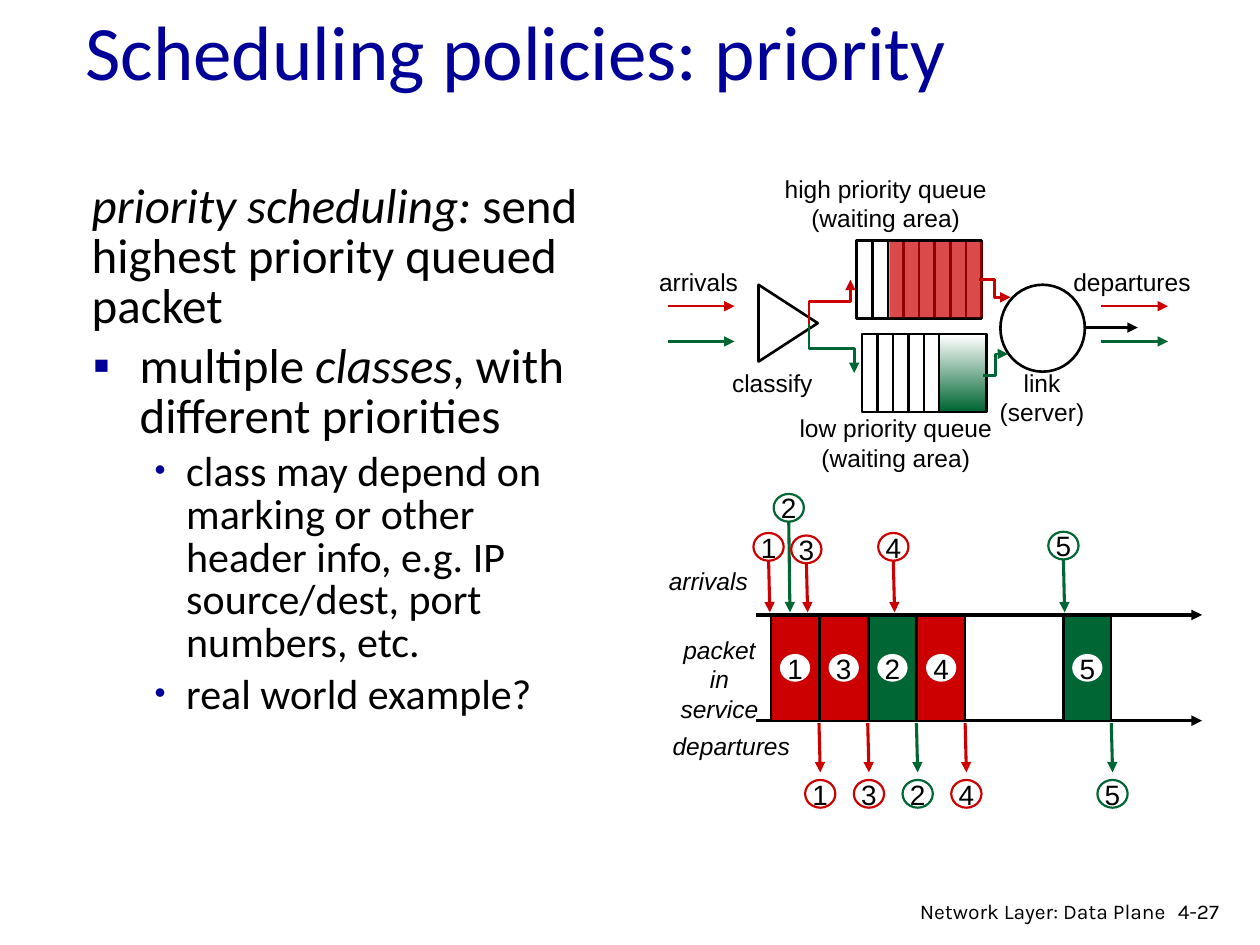
from dataclasses import dataclass

from lxml.etree import SubElement
from pptx import Presentation
from pptx.dml.color import RGBColor
from pptx.enum.shapes import MSO_CONNECTOR as Conn, MSO_SHAPE as Shape
from pptx.enum.text import MSO_ANCHOR as Anchor, PP_ALIGN as Align
from pptx.oxml.ns import qn
from pptx.util import Inches, Pt


@dataclass(frozen=True)
class Theme:
    navy: RGBColor = RGBColor.from_string("000099")
    black: RGBColor = RGBColor.from_string("000000")
    white: RGBColor = RGBColor.from_string("FFFFFF")
    high: RGBColor = RGBColor.from_string("CC0000")
    low: RGBColor = RGBColor.from_string("006633")
    body_font: str = "Calibri"
    label_font: str = "Arial"
    footer_font: str = "Karla"
    title: int = 44
    body: int = 28
    sub: int = 24
    number: int = 16
    label: int = 14
    footer: int = 12


T = Theme()
PACKETS = {1: T.high, 2: T.low, 3: T.high, 4: T.high, 5: T.low}
ARRIVALS = [(5, 8.44, 4.22), (2, 6.26, 3.92), (1, 6.1, 4.23),
            (3, 6.4, 4.25), (4, 7.09, 4.23)]
SLOTS = {1: 0, 3: 1, 2: 2, 4: 3, 5: 6}
FIRST_SLOT, PACKET_W = 6.12, 0.38
PITCH = (8.44 - FIRST_SLOT) / 6
ARRIVAL_AXIS, DEPARTURE_AXIS = 4.88, 5.72
DOT_W, DOT_H = 0.24, 0.22


def write(p, text, size=T.label, font=T.label_font, color=T.black, italic=False):
    r = p.add_run()
    r.text = text
    r.font.size = Pt(size)
    r.font.name = font
    r.font.color.rgb = color
    r.font.italic = italic


def add_box(s, x, y, w, h, wrap=False):
    tf = s.shapes.add_textbox(Inches(x), Inches(y), Inches(w), Inches(h)).text_frame
    tf.word_wrap = wrap
    return tf


def add_label(s, x, y, w, h, text, align=Align.CENTER, wrap=False, **fmt):
    tf = add_box(s, x, y, w, h, wrap)
    for i, line in enumerate(text.split("\n")):
        p = tf.add_paragraph() if i else tf.paragraphs[0]
        p.alignment = align
        write(p, line, **fmt)


def add_bullet(p, char, left, hang, percent=100):
    pPr = p._p.get_or_add_pPr()
    pPr.set("marL", str(Inches(left)))
    pPr.set("indent", str(-Inches(hang)))
    SubElement(SubElement(pPr, qn("a:buClr")), qn("a:srgbClr"), val=str(T.navy))
    SubElement(pPr, qn("a:buSzPct"), val=str(percent * 1000))
    SubElement(pPr, qn("a:buFont"), typeface=T.label_font)
    SubElement(pPr, qn("a:buChar"), char=char)


def add_body(s):
    tf = add_box(s, 0.63, 1.41, 4.1, 5.58, wrap=True)
    square = dict(char="▪", left=0.38, hang=0.37)
    dot = dict(char="•", left=0.75, hang=0.25, percent=75)
    paragraphs = [
        (None, T.body, 0, [("priority scheduling: ", True),
                           ("send highest priority queued packet", False)]),
        (square, T.body, 5.6, [("multiple ", False), ("classes", True),
                               (", with different priorities", False)]),
        (dot, T.sub, 4.8, [("class may depend on marking or other header info, "
                            "e.g. IP source/dest, port numbers, etc.", False)]),
        (dot, T.sub, 4.8, [("real world example?", False)]),
    ]
    for i, (bullet, size, before, runs) in enumerate(paragraphs):
        p = tf.add_paragraph() if i else tf.paragraphs[0]
        p.line_spacing = 0.85
        p.space_before = Pt(before)
        if bullet:
            p.level = 1 if bullet is dot else 0
            add_bullet(p, **bullet)
        for text, italic in runs:
            write(p, text, size=size, font=T.body_font, italic=italic)


def add_shape(s, kind, x, y, w, h, fill=None, line=None, width=1.5):
    sp = s.shapes.add_shape(kind, Inches(x), Inches(y), Inches(w), Inches(h))
    sp.shadow.inherit = False
    if fill is None:
        sp.fill.background()
    else:
        sp.fill.solid()
        sp.fill.fore_color.rgb = fill
    if line is None:
        sp.line.fill.background()
    else:
        sp.line.color.rgb = line
        sp.line.width = Pt(width)
    return sp


def add_line(s, x1, y1, x2, y2, color=T.black, width=1.5, arrow=True, kind=Conn.STRAIGHT):
    c = s.shapes.add_connector(kind, Inches(x1), Inches(y1), Inches(x2), Inches(y2))
    c.line.color.rgb = color
    c.line.width = Pt(width)
    if arrow:
        SubElement(c.line._get_or_add_ln(), qn("a:tailEnd"), type="triangle")
    SubElement(c._element.spPr, qn("a:effectLst"))
    return c


def add_vertical_elbow(s, x1, y1, x2, y2, color):
    cx, cy = (x1 + x2) / 2, (y1 + y2) / 2
    half_w, half_h = (x2 - x1) / 2, (y2 - y1) / 2
    c = add_line(s, cx - half_h, cy + half_w, cx + half_h, cy - half_w, color,
                 kind=Conn.ELBOW)
    c._element.spPr.find(qn("a:xfrm")).set("rot", str(90 * 60000))


def add_queue(s, x, y):
    w, h, cells = 0.99, 0.62, 8
    add_shape(s, Shape.RECTANGLE, x, y, w, h, line=T.black)
    for i in range(1, cells):
        cell_x = x + i * w / cells
        add_line(s, cell_x, y, cell_x, y + h, arrow=False)


def add_number(s, n, x, y, line=None):
    sp = add_shape(s, Shape.OVAL, x, y, DOT_W, DOT_H, T.white, line, 1.25)
    tf = sp.text_frame
    tf.word_wrap = False
    tf.margin_left = tf.margin_right = tf.margin_top = tf.margin_bottom = 0
    tf.vertical_anchor = Anchor.MIDDLE
    tf.paragraphs[0].alignment = Align.CENTER
    write(tf.paragraphs[0], str(n), size=T.number)


def add_queue_diagram(s):
    add_queue(s, 6.84, 2.65)
    backlog = add_shape(s, Shape.RECTANGLE, 7.46, 2.66, 0.36, 0.6, T.low)
    backlog.fill.gradient()
    backlog.fill.gradient_angle = 90
    for stop, color in zip(backlog.fill.gradient_stops, (T.low, T.white)):
        stop.color.rgb = color
    add_queue(s, 6.8, 1.91)
    backlog = add_shape(s, Shape.RECTANGLE, 7.06, 1.92, 0.74, 0.6, T.high)
    color = backlog._element.spPr.find(".//" + qn("a:srgbClr"))
    SubElement(color, qn("a:alpha"), val="71000")

    add_shape(s, Shape.ISOSCELES_TRIANGLE, 5.95, 2.33, 0.61, 0.47, line=T.black).rotation = 90
    add_shape(s, Shape.OVAL, 7.94, 2.26, 0.67, 0.69, line=T.black)
    add_vertical_elbow(s, 6.42, 2.57, 6.75, 2.22, T.high)
    add_vertical_elbow(s, 6.42, 2.57, 6.78, 2.96, T.low)
    add_line(s, 7.77, 2.22, 8.02, 2.36, T.high, kind=Conn.ELBOW)
    add_line(s, 7.8, 2.98, 8, 2.81, T.low, kind=Conn.ELBOW)
    add_line(s, 8.61, 2.6, 9.03, 2.6)
    for x in (5.3, 8.74):
        for y, color in ((2.43, T.high), (2.71, T.low)):
            add_line(s, x, y, x + 0.53, y, color)

    for x, y, w, h, text in [
        (6.08, 1.33, 1.9, 0.57, "high priority queue\n(waiting area)"),
        (6.16, 3.23, 1.9, 0.57, "low priority queue\n(waiting area)"),
        (5.13, 2.07, 0.83, 0.33, "arrivals"),
        (5.71, 2.87, 0.84, 0.33, "classify"),
        (8.42, 2.07, 1.13, 0.33, "departures"),
        (7.81, 2.87, 0.92, 0.57, "link\n(server)"),
    ]:
        add_label(s, x, y, w, h, text)


def add_timeline(s):
    for y in (ARRIVAL_AXIS, DEPARTURE_AXIS):
        add_line(s, 6, y, 9.54, y, width=2)
    for n, slot in SLOTS.items():
        x, color = FIRST_SLOT + slot * PITCH, PACKETS[n]
        add_shape(s, Shape.RECTANGLE, x, 4.89, PACKET_W, 0.83, color, T.black, 1.25)
        add_number(s, n, x + (PACKET_W - DOT_W) / 2, 5.19)
        end = x + PACKET_W
        add_line(s, end, 5.74, end + 0.01, 6.13, color, 1.75)
        add_number(s, n, end + 0.01 - DOT_W / 2, 6.19, color)
    for n, x, y in ARRIVALS:
        add_line(s, x, y + DOT_H, x + 0.01, 4.86, PACKETS[n], 1.75)
        add_number(s, n, x - DOT_W / 2, y, PACKETS[n])
    add_label(s, 5.21, 4.44, 0.83, 0.33, "arrivals", Align.LEFT, italic=True)
    add_label(s, 5.24, 5.75, 1.13, 0.33, "departures", Align.LEFT, italic=True)
    add_label(s, 5.24, 4.99, 0.94, 0.8, "packet in service", wrap=True, italic=True)


def main():
    prs = Presentation()
    prs.slide_width, prs.slide_height = Inches(10), Inches(7.5)
    s = prs.slides.add_slide(prs.slide_layouts[6])
    add_label(s, 0.58, -0.02, 8.5, 1.25, "Scheduling policies: priority", Align.LEFT,
              wrap=True, size=T.title, font=T.body_font, color=T.navy)
    add_body(s)
    add_queue_diagram(s)
    add_timeline(s)
    footer = dict(wrap=True, size=T.footer, font=T.footer_font)
    add_label(s, 9.25, 7.08, 0.61, 0.3, "4-27", Align.LEFT, **footer)
    add_label(s, 6.97, 7.08, 2.38, 0.26, "Network Layer: Data Plane", Align.RIGHT, **footer)
    prs.save("out.pptx")


if __name__ == "__main__":
    main()
